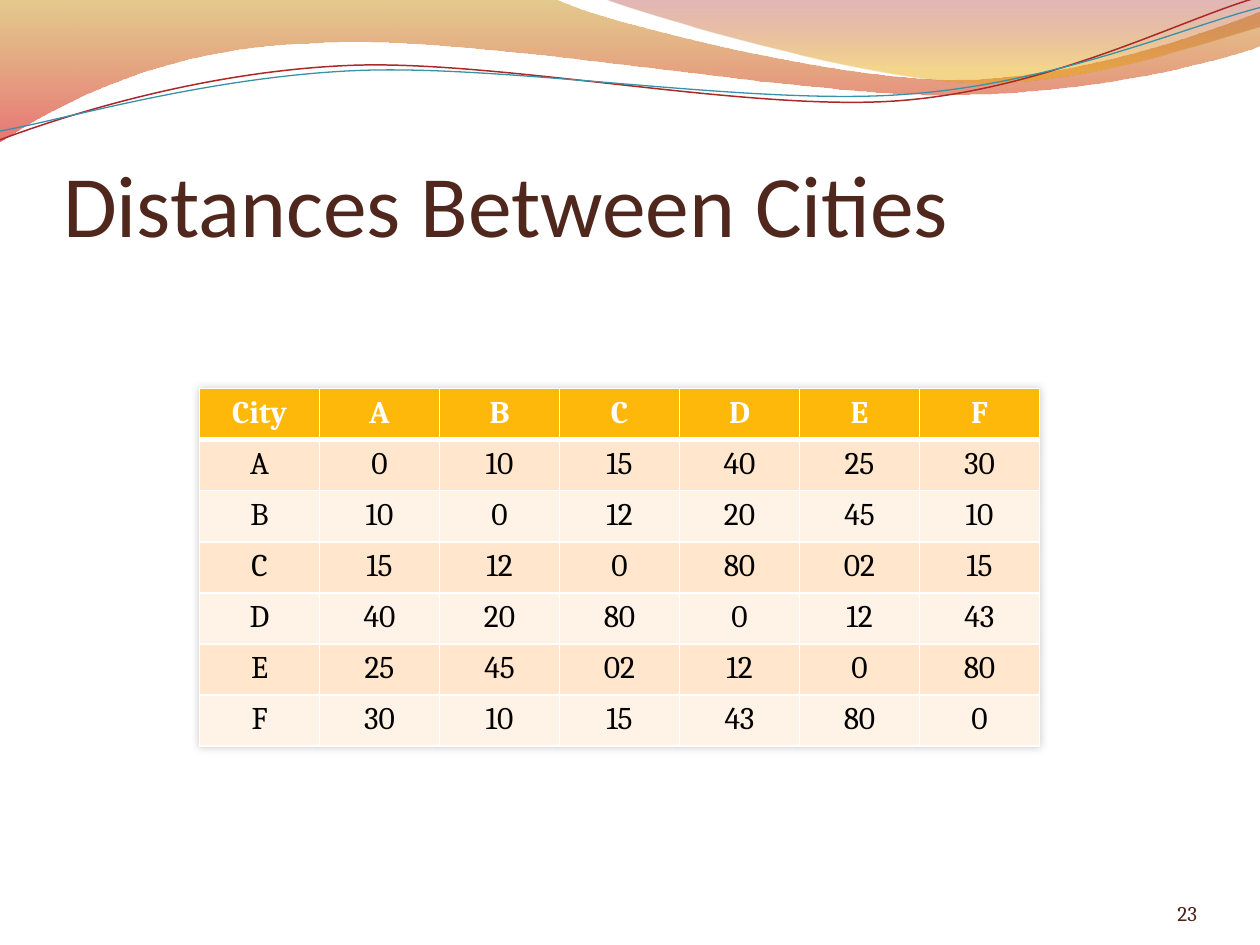
import math
import pptx
import pptx.util
import pptx.dml.color
import pptx.enum.text
import lxml.etree
from pptx.oxml.ns import qn
from pptx.util import Inches, Pt

# Content
TITLE = "Distances Between Cities"
PAGE_NUMBER = "23"
CITIES = ["A", "B", "C", "D", "E", "F"]
DISTANCES = [
    ["0", "10", "15", "40", "25", "30"],
    ["10", "0", "12", "20", "45", "10"],
    ["15", "12", "0", "80", "02", "15"],
    ["40", "20", "80", "0", "12", "43"],
    ["25", "45", "02", "12", "0", "80"],
    ["30", "10", "15", "43", "80", "0"],
]

# Waves: two numbers make a line, six make a Bezier curve (inches)
BANDS = [
    {"box": (-0.01, -0.01, 10.02, 1.14), "turn": 0, "start": (0, 0),
     "steps": [(4.4, -0.01), (4.76, 0.17, 6.64, 0.63, 7.58, 0.63),
               (8.53, 0.63, 9.58, 0.26, 10, 0.09), (10.01, 0.36),
               (9.83, 0.44, 8.7, 0.76, 7.46, 0.75),
               (6.22, 0.75, 3.82, 0.28, 2.57, 0.34),
               (1.29, 0.36, 0.46, 0.83, -0.01, 1.13), (0, 0)],
     "stops": [(0, "C38B00", 45), (1, "D60305", 55)]},
    {"box": (4.79, -0.01, 5.21, 0.7), "turn": 0, "start": (4.79, -0.01),
     "steps": [(5.09, 0.11, 6.82, 0.62, 7.69, 0.65),
               (8.56, 0.69, 9.61, 0.32, 10, 0.21), (10, 0), (4.79, -0.01)],
     "stops": [(0, "A11112", 30), (0.8, "E9A600", 45)]},
]
STRANDS = [
    {"box": (-0.02, 0.22, 10.02, 0.71), "turn": -2.7, "start": (0, 1.11),
     "steps": [(0.48, 0.93, 1.58, 0.57, 2.77, 0.52),
               (3.95, 0.47, 5.93, 0.89, 7.13, 0.8),
               (8.33, 0.71, 9.38, 0.15, 9.98, -0.02)],
     "color": "AC2829", "width": 0.85},
    {"box": (-0.02, 0.3, 10.03, 0.58), "turn": -2.7, "start": (0, 1.04),
     "steps": [(0.47, 0.96, 1.64, 0.61, 2.83, 0.56),
               (4.03, 0.51, 5.97, 0.84, 7.17, 0.75),
               (8.36, 0.67, 9.41, 0.21, 10, 0.06)],
     "color": "3891A7", "width": 0.75},
]


def rgb(value):
    return pptx.dml.color.RGBColor.from_string(value)


def add_xml(parent, tag, **attributes):
    return lxml.etree.SubElement(parent, qn(tag), attributes)


def add_wave(page, wave, close):
    """Draw lines and Bezier curves inside a box that may be turned."""
    left, top, width, height = wave["box"]
    angle = math.radians(-wave["turn"])

    def local(x, y):
        dx, dy = x - left - width / 2, y - top - height / 2
        return (Inches(width / 2 + dx * math.cos(angle) - dy * math.sin(angle)),
                Inches(height / 2 + dx * math.sin(angle) + dy * math.cos(angle)))

    builder = page.shapes.build_freeform(*local(*wave["start"]))
    builder.add_line_segments([local(*step[-2:]) for step in wave["steps"]], close=close)
    shape = builder.convert_to_shape()
    shape.left, shape.top, shape.width, shape.height = map(Inches, wave["box"])
    shape.rotation = wave["turn"]
    shape.shadow.inherit = False

    # Rewrite the outline with true curves
    outline = next(shape._element.spPr.iter(qn("a:path")))
    for child in list(outline):
        outline.remove(child)
    outline.set("w", str(shape.width))
    outline.set("h", str(shape.height))
    tags = {2: "a:lnTo", 6: "a:cubicBezTo"}
    commands = [("a:moveTo", wave["start"])]
    commands += [(tags[len(step)], step) for step in wave["steps"]]
    for tag, numbers in commands:
        command = add_xml(outline, tag)
        for pair in zip(numbers[::2], numbers[1::2]):
            x, y = local(*pair)
            add_xml(command, "a:pt", x=str(x), y=str(y))
    if close:
        add_xml(outline, "a:close")
    return shape


def write(paragraph, text, font, size, color, align, bold=False):
    paragraph.text = text
    paragraph.alignment = align
    paragraph.font.name = font
    paragraph.font.size = Pt(size)
    paragraph.font.bold = bold
    paragraph.font.color.rgb = rgb(color)


def add_text(page, text, bounds, font, size, color, align):
    box = page.shapes.add_textbox(*[Inches(value) for value in bounds])
    frame = box.text_frame
    frame.word_wrap = True
    frame.vertical_anchor = pptx.enum.text.MSO_ANCHOR.BOTTOM
    frame.margin_left = frame.margin_top = frame.margin_right = frame.margin_bottom = 0
    write(frame.paragraphs[0], text, font, size, color, align)


def add_border(cell, side, width):
    line = add_xml(cell._tc.get_or_add_tcPr(), "a:ln" + side, w=str(Pt(width)))
    add_xml(add_xml(line, "a:solidFill"), "a:srgbClr", val="FFFFFF")


deck = pptx.Presentation()
deck.slide_width, deck.slide_height = Inches(10), Inches(7.5)
page = deck.slides.add_slide(deck.slide_layouts[6])
ALIGN = pptx.enum.text.PP_ALIGN

# Gradient bands, running from top to bottom
for band in BANDS:
    shape = add_wave(page, band, close=True)
    shape.line.fill.background()
    shape.fill.gradient()
    shape.fill.gradient_angle = 270
    for stop, (position, color, _) in zip(shape.fill.gradient_stops, band["stops"]):
        stop.position = position
        stop.color.rgb = rgb(color)
    colors = shape._element.spPr.iter(qn("a:srgbClr"))
    for color, (_, _, opacity) in zip(colors, band["stops"]):
        add_xml(color, "a:alpha", val=str(opacity * 1000))

# Thin strands
for strand in STRANDS:
    shape = add_wave(page, strand, close=False)
    shape.fill.background()
    shape.line.color.rgb = rgb(strand["color"])
    shape.line.width = Pt(strand["width"])

# Distance table
rows = [["City"] + CITIES] + [[city] + line for city, line in zip(CITIES, DISTANCES)]
table = page.shapes.add_table(len(rows), len(rows[0]), Inches(19 / 12), Inches(37 / 12),
                              Inches(20 / 3), Inches(2.84)).table
for row, values in enumerate(rows):
    header = row == 0
    fill = "FEB80A" if header else ("FFE6CC" if row % 2 else "FFF3E7")
    for column, value in enumerate(values):
        cell = table.cell(row, column)
        for side in "LRTB":
            thick = (header and side == "B") or (row == 1 and side == "T")
            add_border(cell, side, 3 if thick else 1)
        cell.fill.solid()
        cell.fill.fore_color.rgb = rgb(fill)
        write(cell.text_frame.paragraphs[0], value, "Cambria", 18,
              "FFFFFF" if header else "000000", ALIGN.CENTER, bold=header)

# Soft shadow around the table
effects = lxml.etree.Element(qn("a:effectLst"))
shadow = add_xml(effects, "a:outerShdw", blurRad=str(Pt(5)), dist="0", dir="5400000")
add_xml(add_xml(shadow, "a:srgbClr", val="000000"), "a:alpha", val="20000")
table._tbl.tblPr.insert(0, effects)

# Title and page number
add_text(page, TITLE, (0.5, 0.77, 9.08, 1.25), "Calibri", 50, "4F271C", ALIGN.LEFT)
add_text(page, PAGE_NUMBER, (8.67, 6.95, 0.83, 0.4), "Cambria", 12, "4B251B", ALIGN.RIGHT)

deck.save("out.pptx")
